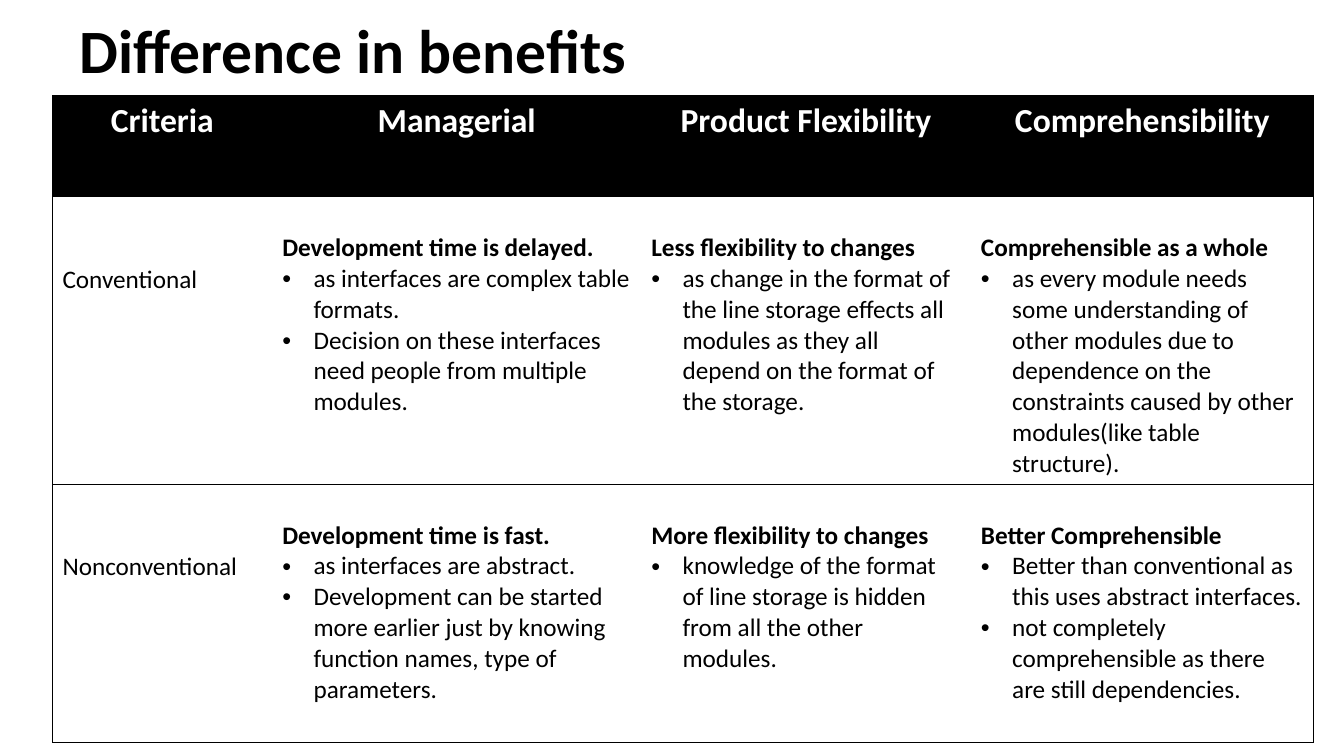
from dataclasses import dataclass

from lxml.etree import SubElement
from pptx import Presentation
from pptx.dml.color import RGBColor
from pptx.enum.text import MSO_ANCHOR as Anchor, MSO_AUTO_SIZE as AutoSize, PP_ALIGN as Align
from pptx.oxml.ns import qn
from pptx.util import Emu, Pt

EMU_PER_PX = 9144  # 100 px to the inch


def px(length):
    return Emu(length * EMU_PER_PX)


@dataclass(frozen=True)
class Theme:
    font: str = "Calibri"
    ink: str = "000000"
    paper: str = "FFFFFF"
    title_size: int = 44
    header_size: int = 24
    body_size: int = 18
    border_width: float = 0.5
    bullet_indent: int = 31
    cell_margin: int = 5
    body_line: int = 31


HEADERS = ["Criteria", "Managerial", "Product Flexibility", "Comprehensibility"]
COLUMN_WIDTHS = [218, 366, 327, 340]
ROW_HEIGHTS = [100, 256, 256]

# Each row: approach, then (verdict, reasons) for every criterion
COMPARISON = [
    ("Conventional", [
        ("Development time is delayed.", [
            "as interfaces are complex table formats.",
            "Decision on these interfaces need people from multiple modules."]),
        ("Less flexibility to changes", [
            "as change in the format of the line storage effects all modules "
            "as they all depend on the format of the storage."]),
        ("Comprehensible as a whole", [
            "as every module needs some understanding of other modules due to dependence on "
            "the constraints caused by other modules(like table structure)."]),
    ]),
    ("Nonconventional", [
        ("Development time is fast.", [
            "as interfaces are abstract.",
            "Development can be started more earlier just by knowing function names, "
            "type of parameters."]),
        ("More flexibility to changes", [
            "knowledge of the format of line storage is hidden from all the other modules."]),
        ("Better Comprehensible", [
            "Better than conventional as this uses abstract interfaces.",
            "not completely comprehensible as there are still dependencies."]),
    ]),
]


class SlideBuilder:
    def __init__(self, presentation, theme):
        self.theme = theme
        self.slide = presentation.slides.add_slide(presentation.slide_layouts[5])

    def add_text(self, paragraph, text, size, color, bold=False):
        run = paragraph.add_run()
        run.text = text
        font_format = {"name": self.theme.font, "size": Pt(size), "bold": bold}
        for name, value in font_format.items():
            setattr(run.font, name, value)
        run.font.color.rgb = RGBColor.from_string(color)

    def title(self, text, left, top, width, height):
        shape = self.slide.shapes.title
        position = {"left": left, "top": top, "width": width, "height": height}
        for name, value in position.items():
            setattr(shape, name, px(value))
        frame_format = {"vertical_anchor": Anchor.MIDDLE, "word_wrap": True,
                        "auto_size": AutoSize.NONE}
        for name, value in frame_format.items():
            setattr(shape.text_frame, name, value)
        paragraph = shape.text_frame.paragraphs[0]
        paragraph.alignment = Align.LEFT
        paragraph.line_spacing = 0.9
        self.add_text(paragraph, text, self.theme.title_size, self.theme.ink, bold=True)

    def table(self, left, top, column_widths, row_heights):
        frame = self.slide.shapes.add_table(
            len(row_heights), len(column_widths), px(left), px(top),
            px(sum(column_widths)), px(sum(row_heights)))
        table = frame.table
        table.horz_banding = False
        for column, width in zip(table.columns, column_widths):
            column.width = px(width)
        for row, height in zip(table.rows, row_heights):
            row.height = px(height)
        # Rules between rows and around the table, none between columns
        last_column = len(column_widths) - 1
        for row in table.rows:
            for index, cell in enumerate(row.cells):
                self.borders(cell, {"L": index == 0, "R": index == last_column,
                                    "T": True, "B": True})
        return table

    def borders(self, cell, visible_sides):
        properties = cell._tc.get_or_add_tcPr()
        for side, visible in visible_sides.items():
            line = SubElement(properties, qn(f"a:ln{side}"), w=str(Pt(self.theme.border_width)))
            if visible:
                fill = SubElement(line, qn("a:solidFill"))
                SubElement(fill, qn("a:srgbClr"), val=self.theme.ink)
            else:
                SubElement(line, qn("a:noFill"))

    def fill(self, cell, color, blank_lines=0):
        cell.fill.solid()
        cell.fill.fore_color.rgb = RGBColor.from_string(color)
        cell.margin_top = px(self.theme.cell_margin + blank_lines * self.theme.body_line)

    def header_cell(self, cell, text):
        self.fill(cell, self.theme.ink)
        paragraph = cell.text_frame.paragraphs[0]
        paragraph.alignment = Align.CENTER
        self.add_text(paragraph, text, self.theme.header_size, self.theme.paper, bold=True)

    def label_cell(self, cell, text):
        self.fill(cell, self.theme.paper, blank_lines=2)
        self.add_text(cell.text_frame.paragraphs[0], text, self.theme.body_size, self.theme.ink)

    def verdict_cell(self, cell, verdict, reasons):
        self.fill(cell, self.theme.paper, blank_lines=1)
        self.add_text(cell.text_frame.paragraphs[0], verdict,
                      self.theme.body_size, self.theme.ink, bold=True)
        for reason in reasons:
            paragraph = cell.text_frame.add_paragraph()
            self.bullet(paragraph)
            self.add_text(paragraph, reason, self.theme.body_size, self.theme.ink)

    def bullet(self, paragraph):
        properties = paragraph._p.get_or_add_pPr()
        indent = px(self.theme.bullet_indent)
        properties.set("marL", str(indent))
        properties.set("indent", str(-indent))
        SubElement(properties, qn("a:buFont"), typeface="Arial")
        SubElement(properties, qn("a:buChar"), char="•")


def main():
    presentation = Presentation()
    presentation.slide_width, presentation.slide_height = px(1333), px(750)
    builder = SlideBuilder(presentation, Theme())

    # Title
    builder.title("Difference in benefits", 69, 11, 1150, 84)

    # Comparison table
    table = builder.table(52, 95, COLUMN_WIDTHS, ROW_HEIGHTS)
    for column, header in enumerate(HEADERS):
        builder.header_cell(table.cell(0, column), header)
    for row, (approach, verdicts) in enumerate(COMPARISON, start=1):
        builder.label_cell(table.cell(row, 0), approach)
        for column, (verdict, reasons) in enumerate(verdicts, start=1):
            builder.verdict_cell(table.cell(row, column), verdict, reasons)

    presentation.save("out.pptx")


if __name__ == "__main__":
    main()
